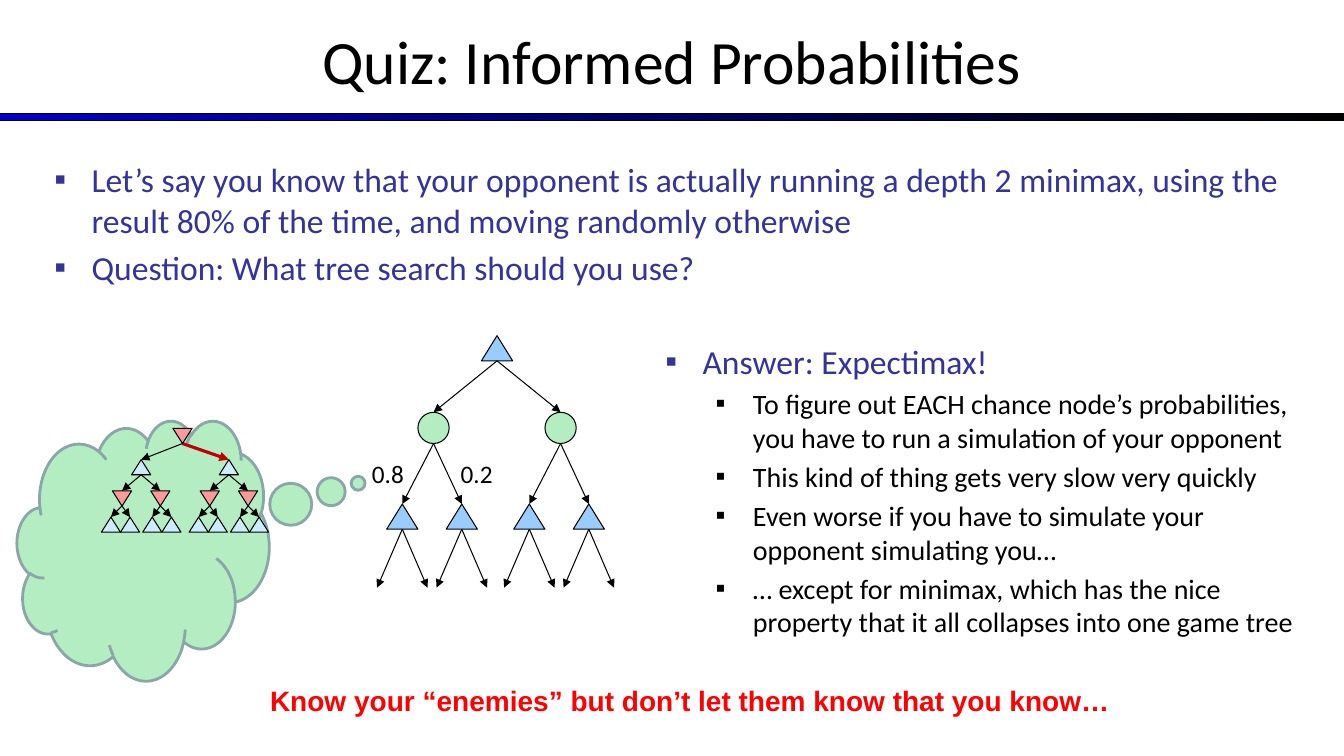
from lxml.etree import SubElement
from pptx import Presentation
from pptx.dml.color import RGBColor
from pptx.enum.shapes import MSO_CONNECTOR, MSO_SHAPE
from pptx.enum.text import MSO_ANCHOR, PP_ALIGN
from pptx.oxml.ns import qn
from pptx.util import Inches, Pt

COLORS = {
    "black": "000000", "blue": "0000CC", "indigo": "333399", "red": "FF0000",
    "cloud": "B5EDC2", "cloud line": "8AA6A8", "max": "99CCFF",
    "small max": "CCECFF", "min": "FF9999", "chosen": "C00000",
}


def color(name):
    return RGBColor.from_string(COLORS[name])


def add_shape(page, kind, left, top, width, height, fill, line="black", weight=0.75):
    shape = page.shapes.add_shape(
        kind, Inches(left), Inches(top), Inches(width), Inches(height))
    shape.shadow.inherit = False
    shape.fill.solid()
    shape.fill.fore_color.rgb = color(fill)
    shape.line.color.rgb = color(line)
    shape.line.width = Pt(weight)
    return shape


def add_node(page, kind, x, top, width, height, fill, flipped=False):
    """Draw a tree node centred on x."""
    node = add_shape(page, kind, x - width / 2, top, width, height, fill)
    if flipped:
        node.rotation = 180


def add_arrow(page, start, end, line="black", weight=0.75):
    arrow = page.shapes.add_connector(
        MSO_CONNECTOR.STRAIGHT, *[Inches(value) for value in (*start, *end)])
    arrow.line.color.rgb = color(line)
    arrow.line.width = Pt(weight)
    SubElement(arrow.line._get_or_add_ln(), qn("a:tailEnd"), type="triangle")
    SubElement(arrow._element.spPr, qn("a:effectLst"))


def add_box(page, left, top, width, height, wrap=True):
    box = page.shapes.add_textbox(
        Inches(left), Inches(top), Inches(width), Inches(height))
    box.text_frame.word_wrap = wrap
    return box.text_frame


def add_span(para, text, size, fill, font="Calibri", bold=False):
    span = para.add_run()
    span.text = text
    span.font.size = Pt(size)
    span.font.name = font
    span.font.bold = bold
    span.font.color.rgb = color(fill)


def add_label(page, left, top, width, height, text, size, fill, **style):
    frame = add_box(page, left, top, width, height, wrap=False)
    add_span(frame.paragraphs[0], text, size, fill, **style)


def add_bullets(page, left, top, width, height, items):
    """Fill a box with bulleted (level, text) items."""
    frame = add_box(page, left, top, width, height)
    for index, (level, text) in enumerate(items):
        para = frame.add_paragraph() if index else frame.paragraphs[0]
        size, fill, indent = [(24, "indigo", 0.37), (20, "black", 0.87)][level]
        para.level = level
        if index:
            para.space_before = Pt(size * 0.2)
        properties = para._p.get_or_add_pPr()
        properties.set("marL", str(Inches(indent)))
        properties.set("indent", str(Inches(-0.37)))
        bullet_color = SubElement(properties, qn("a:buClr"))
        SubElement(bullet_color, qn("a:srgbClr"), val=COLORS[fill])
        SubElement(properties, qn("a:buFont"), typeface="Arial")
        SubElement(properties, qn("a:buChar"), char="▪")
        add_span(para, text, size, fill)


def add_title(page, text):
    bar = add_shape(page, MSO_SHAPE.RECTANGLE, 0, 1.13, 13.33, 0.07, "blue")
    bar.fill.gradient()
    bar.fill.gradient_angle = 0
    for stop, name in zip(bar.fill.gradient_stops, ("blue", "black")):
        stop.color.rgb = color(name)
    frame = add_box(page, 0, -0.03, 13.33, 1.25)
    frame.vertical_anchor = MSO_ANCHOR.MIDDLE
    frame.paragraphs[0].alignment = PP_ALIGN.CENTER
    add_span(frame.paragraphs[0], text, 44, "black")


def add_thought_tree(page):
    """Draw the opponent's minimax tree inside the thought cloud."""
    cloud = add_shape(page, MSO_SHAPE.CLOUD_CALLOUT, 0.17, 4.17, 2.5, 2.58,
                      "cloud", "cloud line", 2)
    cloud.adjustments[0] = 0.853
    cloud.adjustments[1] = -0.258
    triangle, size = MSO_SHAPE.ISOSCELES_TRIANGLE, (0.19, 0.15)
    root_x = 1.81
    for max_x, style in ((1.4, ("black", 0.75)), (2.27, ("chosen", 2.25))):
        add_node(page, triangle, max_x, 4.56, *size, "small max")
        add_arrow(page, (root_x, 4.4), (max_x, 4.56), *style)
        for min_offset, leaf_offsets in ((-0.19, (-0.11, 0.08)), (0.19, (-0.08, 0.11))):
            min_x = max_x + min_offset
            add_node(page, triangle, min_x, 4.87, *size, "min", flipped=True)
            add_arrow(page, (max_x, 4.71), (min_x, 4.87))
            for leaf_offset in leaf_offsets:
                leaf_x = min_x + leaf_offset
                add_node(page, triangle, leaf_x, 5.13, *size, "small max")
                add_arrow(page, (min_x, 5.02), (leaf_x, 5.13))
    add_node(page, triangle, root_x, 4.25, *size, "min", flipped=True)


def add_expectimax_tree(page):
    triangle, size = MSO_SHAPE.ISOSCELES_TRIANGLE, (0.31, 0.25)
    root_x = 4.93
    add_node(page, triangle, root_x, 3.33, *size, "max")
    for chance_x in (root_x - 0.63, root_x + 0.63):
        add_arrow(page, (root_x, 3.58), (chance_x, 4.09))
        add_node(page, MSO_SHAPE.OVAL, chance_x, 4.09, 0.31, 0.31, "cloud")
        for max_x in (chance_x - 0.31, chance_x + 0.28):
            add_arrow(page, (chance_x, 4.4), (max_x, 5))
            add_node(page, triangle, max_x, 5, *size, "max")
            for end_x in (max_x - 0.25, max_x + 0.25):
                add_arrow(page, (max_x, 5.25), (end_x, 5.83))


def main():
    deck = Presentation()
    deck.slide_width, deck.slide_height = Inches(13.33), Inches(7.5)
    page = deck.slides.add_slide(deck.slide_layouts[6])

    add_title(page, "Quiz: Informed Probabilities")
    add_bullets(page, 0.44, 1.53, 12.44, 1.5, [
        (0, "Let’s say you know that your opponent is actually running a depth 2 "
            "minimax, using the result 80% of the time, and moving randomly otherwise"),
        (0, "Question: What tree search should you use?"),
    ])
    add_thought_tree(page)
    for left, probability in ((3.59, "0.8"), (4.47, "0.2")):
        add_label(page, left, 4.5, 0.55, 0.4, probability, 18, "black")
    add_bullets(page, 6.5, 3.33, 6.47, 3.3, [
        (0, "Answer: Expectimax!"),
        (1, "To figure out EACH chance node’s probabilities, you have to run a "
            "simulation of your opponent"),
        (1, "This kind of thing gets very slow very quickly"),
        (1, "Even worse if you have to simulate your opponent simulating you…"),
        (1, "… except for minimax, which has the nice property that it all "
            "collapses into one game tree"),
    ])
    add_expectimax_tree(page)
    add_label(page, 2.58, 6.73, 8.67, 0.44,
              "Know your “enemies” but don’t let them know that you know…",
              20, "red", font="Arial", bold=True)
    deck.save("out.pptx")


if __name__ == "__main__":
    main()
